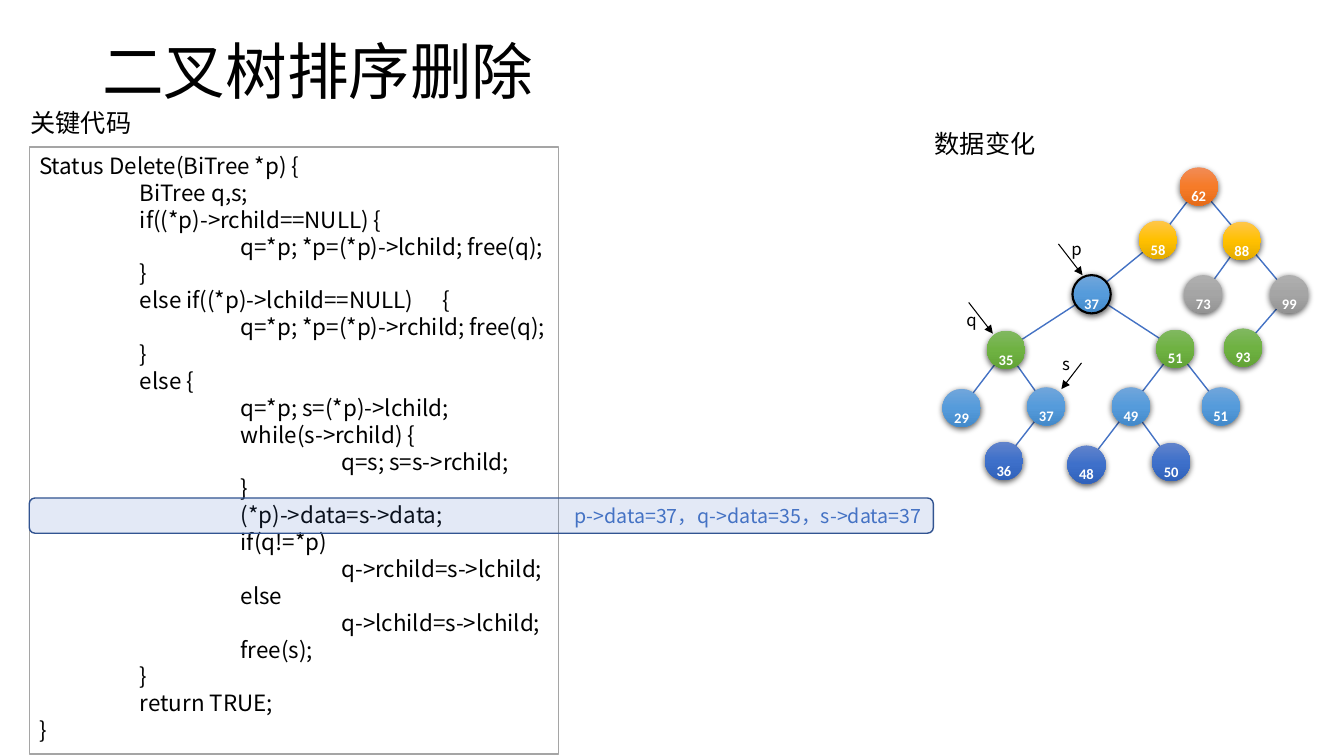
from pptx import Presentation
from pptx.dml.color import RGBColor
from pptx.enum.shapes import MSO_CONNECTOR, MSO_SHAPE
from pptx.enum.text import MSO_ANCHOR, PP_ALIGN
from pptx.oxml import parse_xml
from pptx.oxml.ns import nsdecls
from pptx.util import Inches, Pt
from lxml.etree import SubElement

COLS, ROWS = 80, 45
A = "{http://schemas.openxmlformats.org/drawingml/2006/main}"
CJK = "Noto Sans CJK SC"
BLUE = "4472C4"
TREE_X, TREE_Y, TREE_COL, TREE_ROW = 57.24, 11.1, 2.52, 3.24
NODE = 2.28

LEVEL_COLOURS = [
    ("F18C57", "F67B28", "E56C19"),
    ("FFC64B", "FFC000", "E3AB00"),
    ("AFAFAF", "A5A5A5", "939393"),
    ("81B861", "6FB242", "62A336"),
    ("71A6DB", "559BDB", "448ACA"),
    ("6183CB", "3E70CA", "3062BB"),
]
CURRENT_COLOURS = LEVEL_COLOURS[4]

NODES = {
    "root": ("62", 5.6, 0, None),
    "58": ("58", 4.64, 0.98, "root"),
    "88": ("88", 6.62, 1, None),
    "current": ("37", 3.07, 1.98, "58"),
    "73": ("73", 5.71, 1.98, "88"),
    "99": ("99", 7.74, 1.98, "root"),
    "35": ("35", 1.05, 3, "current"),
    "51": ("51", 5.05, 2.98, "current"),
    "93": ("93", 6.65, 2.96, "99"),
    "29": ("29", 0, 4.07, "35"),
    "successor": ("37", 2, 4.04, "35"),
    "49": ("49", 4, 4.04, "51"),
    "leaf 51": ("51", 6.12, 4.04, "51"),
    "36": ("36", 1, 5.04, "successor"),
    "48": ("48", 2.95, 5.11, "49"),
    "50": ("50", 4.95, 5.06, "49"),
}

POINTERS = [
    ("p", (63.18, 13.92), (63, 14.52), (64.44, 16.38)),
    ("s", (62.64, 20.76), (64.38, 21.6), (63.18, 23.16)),
    ("q", (56.94, 18.12), (57.66, 18), (59.1, 19.86)),
]

CODE = """Status Delete(BiTree *p) {
\tBiTree q,s;
\tif((*p)->rchild==NULL) {
\t\tq=*p; *p=(*p)->lchild; free(q);
\t}
\telse if((*p)->lchild==NULL)\t{
\t\tq=*p; *p=(*p)->rchild; free(q);
\t}
\telse {
\t\tq=*p; s=(*p)->lchild;
\t\twhile(s->rchild) {
\t\t\tq=s; s=s->rchild;
\t\t}
\t\t(*p)->data=s->data;
\t\tif(q!=*p)
\t\t\tq->rchild=s->lchild;
\t\telse
\t\t\tq->lchild=s->lchild;
\t\tfree(s);
\t}
\treturn TRUE;
}"""


def grid(*lengths):
    return [Inches(n / 6) for n in lengths]


def rgb(code):
    return RGBColor.from_string(code)


def write(sp, text, size=18, color="000000", font=CJK, bold=False, align=PP_ALIGN.LEFT,
          anchor=MSO_ANCHOR.TOP, wrap=True, spacing=None, baseline=None, side=0.1, tabs=0):
    tf = sp.text_frame
    tf.word_wrap = wrap
    tf.vertical_anchor = anchor
    tf.margin_left = tf.margin_right = Inches(side)
    for i, line in enumerate(text.split("\n")):
        p = tf.add_paragraph() if i else tf.paragraphs[0]
        p.alignment = align
        if tabs:
            tab_list = SubElement(p._p.get_or_add_pPr(), A + "tabLst")
            for n in range(1, tabs + 1):
                SubElement(tab_list, A + "tab", pos=str(Inches(n)), algn="l")
        if spacing:
            p.line_spacing = spacing
        r = p.add_run()
        r.text = line
        r.font.size, r.font.bold, r.font.name = Pt(size), bold, font
        r.font.color.rgb = rgb(color)
        rPr = r.font._element
        SubElement(rPr, A + "ea", typeface=font)
        if baseline:
            rPr.set("baseline", str(baseline))


def add_text(shapes, at, text, **fmt):
    write(shapes.add_textbox(*grid(*at)), text, **fmt)


def add_box(shapes, kind, at, fill, line, alpha=None):
    sp = shapes.add_shape(kind, *grid(*at))
    sp.shadow.inherit = False
    sp.fill.solid()
    sp.fill.fore_color.rgb = rgb(fill)
    if alpha:
        clr = sp._element.spPr.find(f".//{A}srgbClr")
        SubElement(clr, A + "alpha", val=str(alpha * 1000))
    sp.line.color.rgb = rgb(line)
    sp.line.width = Pt(1)
    return sp


def add_line(shapes, start, end, color, width, arrow=False):
    c = shapes.add_connector(MSO_CONNECTOR.STRAIGHT, *grid(*start, *end))
    c.line.color.rgb = rgb(color)
    c.line.width = Pt(width)
    if arrow:
        SubElement(c.line._get_or_add_ln(), A + "tailEnd", type="triangle")
    SubElement(c._element.spPr, A + "effectLst")


def node_centre(name):
    _, col, row, _ = NODES[name]
    return TREE_X + col * TREE_COL, TREE_Y + row * TREE_ROW


def add_node(shapes, name):
    label, _, row, _ = NODES[name]
    current = name == "current"
    colours = CURRENT_COLOURS if current else LEVEL_COLOURS[round(row)]
    x, y = node_centre(name)
    left, top = x - NODE / 2, y - NODE / 2
    group = shapes.add_group_shape()
    sp = group.shapes.add_shape(MSO_SHAPE.OVAL, *grid(left, top, NODE, NODE))
    if current:
        sp.line.color.rgb = rgb("000000")
        sp.line.width = Pt(1.5)
    else:
        sp.line.fill.background()
    stops = "".join(f'<a:gs pos="{i * 50000}"><a:srgbClr val="{c}"/></a:gs>'
                    for i, c in enumerate(colours))
    spPr = sp._element.spPr
    spPr.insert(2, parse_xml(
        f'<a:gradFill {nsdecls("a")} rotWithShape="1"><a:gsLst>{stops}</a:gsLst>'
        '<a:lin ang="5400000" scaled="0"/></a:gradFill>'))
    spPr.append(parse_xml(
        f'<a:effectLst {nsdecls("a")}><a:outerShdw blurRad="57150" dist="19050" '
        'dir="5400000" algn="ctr" rotWithShape="0"><a:srgbClr val="000000">'
        '<a:alpha val="63000"/></a:srgbClr></a:outerShdw></a:effectLst>'))
    add_text(group.shapes, (left, top - 0.12, NODE, 1.8), label, color="FFFFFF",
             font="Calibri", bold=True, align=PP_ALIGN.CENTER, baseline=-25000, side=0)


def main():
    prs = Presentation()
    prs.slide_width, prs.slide_height = grid(COLS, ROWS)
    s = prs.slides.add_slide(prs.slide_layouts[6])
    shapes = s.shapes

    add_text(shapes, (5.5, 0.06, 69, 8.7), "二叉树排序删除", size=44,
             anchor=MSO_ANCHOR.MIDDLE, spacing=0.9)
    code = add_box(shapes, MSO_SHAPE.RECTANGLE, (1.74, 8.76, 31.5, 36.12), "FFFFFF", "A5A5A5")
    write(code, CODE, size=16, spacing=Pt(19.2), tabs=4)
    add_text(shapes, (1.23, 6.09, 7.5, 2.4), "关键代码", wrap=False)
    add_text(shapes, (55.05, 7.35, 7.26, 2.4), "数据变化", wrap=False)
    step = add_box(shapes, MSO_SHAPE.ROUNDED_RECTANGLE, (1.74, 29.64, 53.82, 2.1),
                   BLUE, "325491", alpha=15)
    write(step, "p->data=37，q->data=35，s->data=37", size=14, color=BLUE,
          align=PP_ALIGN.RIGHT, anchor=MSO_ANCHOR.MIDDLE)

    for name, (_, _, _, parent) in NODES.items():
        if parent:
            add_line(shapes, node_centre(parent), node_centre(name), BLUE, 1)
    for name in NODES:
        add_node(shapes, name)
    for label, at, start, end in POINTERS:
        add_line(shapes, start, end, "000000", 0.75, arrow=True)
        add_text(shapes, (*at, 1.8, 1.8), label, size=12, wrap=False)

    prs.save("out.pptx")


if __name__ == "__main__":
    main()
